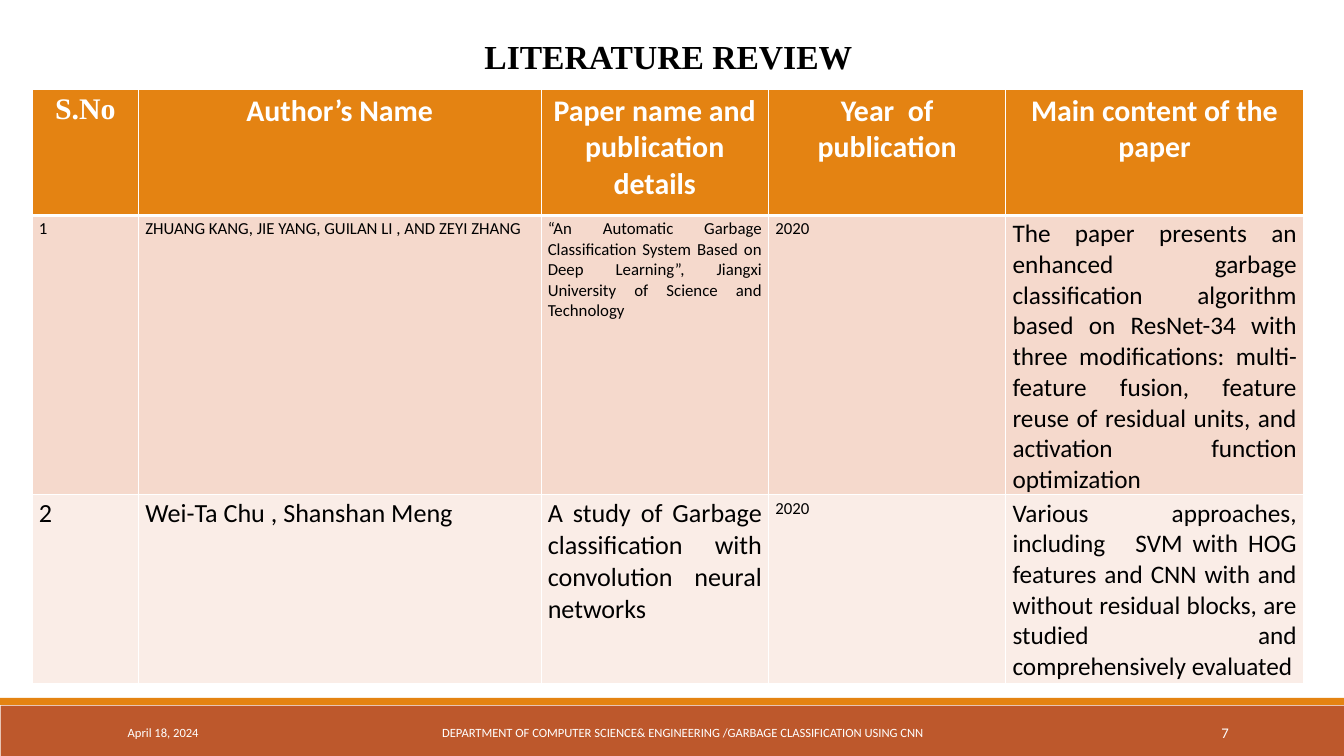
from lxml import etree
from pptx import Presentation
from pptx.dml.color import RGBColor
from pptx.enum.shapes import MSO_SHAPE
from pptx.enum.text import MSO_ANCHOR, MSO_AUTO_SIZE, PP_ALIGN
from pptx.oxml.ns import qn
from pptx.util import Pt

PX = 9525
RECT = MSO_SHAPE.RECTANGLE
TOP, MIDDLE = MSO_ANCHOR.TOP, MSO_ANCHOR.MIDDLE
LEFT, CENTER, RIGHT, JUSTIFY = (PP_ALIGN.LEFT, PP_ALIGN.CENTER,
                                PP_ALIGN.RIGHT, PP_ALIGN.JUSTIFY)
GROW = MSO_AUTO_SIZE.SHAPE_TO_FIT_TEXT
SANS, SERIF = "Calibri", "Times New Roman"
WHITE, BLACK, ORANGE, RUST = "FFFFFF", "000000", "E48312", "BD582C"
BANDS = ("F5D9CC", "FAEDE7")

COLS = (152, 575, 325, 339, 425)
ROWS = (180, 394, 266)
HEADERS = ("S.No", "Author’s Name", "Paper name and publication details",
           "Year  of publication", "Main content of the paper")
# Each paper: size of the first three cells, then the five texts
PAPERS = (
    (18, ("1", "ZHUANG KANG, JIE YANG, GUILAN LI , AND ZEYI ZHANG",
          "“An Automatic Garbage Classification System Based on Deep Learning”, "
          "Jiangxi University of Science and Technology",
          "2020",
          "The paper presents an enhanced garbage classification algorithm based on "
          "ResNet-34 with three modifications: multi-feature fusion, feature reuse "
          "of residual units, and activation function optimization")),
    (28, ("2", "Wei-Ta Chu , Shanshan Meng ",
          "A study of Garbage classification with convolution neural networks",
          "2020",
          "Various approaches, including   SVM with HOG features and CNN with and "
          "without residual blocks, are studied and comprehensively evaluated")),
)


def rgb(color):
    return RGBColor.from_string(color)


def px(*values):
    return [v * PX for v in values]


def write(tf, text, size, color, align=LEFT, name=SANS, bold=False):
    p = tf.paragraphs[0]
    p.alignment = align
    r = p.add_run()
    r.text = text
    for key, value in {"size": Pt(size), "name": name, "bold": bold}.items():
        setattr(r.font, key, value)
    r.font.color.rgb = rgb(color)
    return p


def add_bar(s, x, y, w, h, color):
    sp = s.shapes.add_shape(RECT, *px(x, y, w, h))
    sp.shadow.inherit = False
    sp.fill.solid()
    sp.fill.fore_color.rgb = rgb(color)
    sp.line.fill.background()


def add_footer(s, x, y, w, h):
    # Rust band with a thin orange strip above it
    add_bar(s, x + 1, y + 11, w - 1, h - 11, RUST)
    add_bar(s, x, y, w, 10, ORANGE)
    for left, width, text, size, align in (
            (173, 390, "April 18, 2024", 13.5, LEFT),
            (581, 789, "DEPARTMENT OF COMPUTER SCIENCE& ENGINEERING "
                       "/GARBAGE CLASSIFICATION USING CNN", 13.5, CENTER),
            (1559, 206, "7", 15.8, RIGHT)):
        tf = s.shapes.add_textbox(*px(x + left, y + 21, width, 58)).text_frame
        tf.word_wrap = True
        tf.vertical_anchor = MIDDLE
        write(tf, text, size, WHITE, align)


def add_title(s, x, y, w, h):
    sp = s.shapes.title
    sp.left, sp.top, sp.width, sp.height = px(x, y, w, h)
    tf = sp.text_frame
    for key, value in {"word_wrap": True, "vertical_anchor": TOP,
                       "auto_size": GROW}.items():
        setattr(tf, key, value)
    p = write(tf, "LITERATURE REVIEW", 36, BLACK, CENTER, SERIF, True)
    p.line_spacing = 1.5
    pPr = p._p.get_or_add_pPr()
    pPr.set("marL", str(48 * PX))
    pPr.set("indent", "0")


def style_cell(cell, fill, top, bottom):
    # Borders come before the fill in the cell properties
    tcPr = cell._tc.get_or_add_tcPr()
    for side, width in (("L", 1), ("R", 1), ("T", top), ("B", bottom)):
        ln = etree.SubElement(tcPr, qn("a:ln" + side), w=str(Pt(width)))
        solid = etree.SubElement(ln, qn("a:solidFill"))
        etree.SubElement(solid, qn("a:srgbClr"), val=WHITE)
    cell.fill.solid()
    cell.fill.fore_color.rgb = rgb(fill)


def add_review_table(s, x, y):
    table = s.shapes.add_table(len(ROWS), len(COLS),
                               *px(x, y, sum(COLS), sum(ROWS))).table
    for column, width in zip(table.columns, COLS):
        column.width = width * PX
    for row, height in zip(table.rows, ROWS):
        row.height = height * PX

    # Header row
    for c, text in enumerate(HEADERS):
        cell = table.cell(0, c)
        style_cell(cell, ORANGE, 1, 3)
        write(cell.text_frame, text, 32, WHITE, CENTER,
              SANS if c else SERIF, True)

    # One row for each paper
    for i, (size, texts) in enumerate(PAPERS):
        sizes = (size, size, size, 18, 27)
        for c, text in enumerate(texts):
            cell = table.cell(i + 1, c)
            style_cell(cell, BANDS[i], 1 if i else 3, 1)
            write(cell.text_frame, text, sizes[c], BLACK,
                  LEFT if c == 3 else JUSTIFY)


def main():
    prs = Presentation()
    prs.slide_width, prs.slide_height = px(1920, 1080)
    s = prs.slides.add_slide(prs.slide_layouts[5])
    add_footer(s, 0, 997, 1920, 83)
    add_title(s, 46, 18, 1770, 86)
    add_review_table(s, 46, 128)
    prs.save("out.pptx")


if __name__ == "__main__":
    main()
